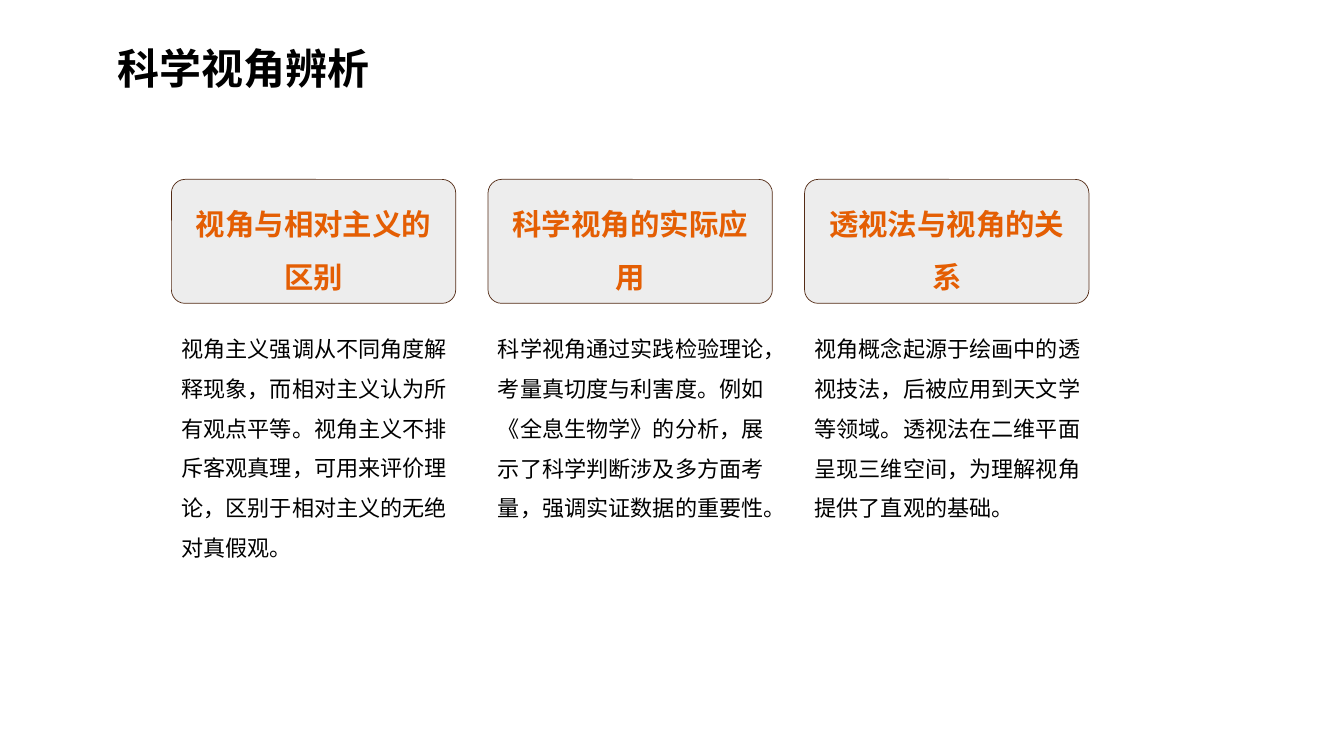
import pptx
import pptx.util
import pptx.dml.color
import pptx.enum.shapes
import pptx.enum.text
import pptx.oxml.ns
import lxml.etree

PX = 9144
FONT = "Noto Sans CJK SC"
BLACK = pptx.dml.color.RGBColor(0x00, 0x00, 0x00)
ORANGE = pptx.dml.color.RGBColor(0xE4, 0x5E, 0x03)
GREY = pptx.dml.color.RGBColor(0xED, 0xED, 0xED)
BROWN = pptx.dml.color.RGBColor(0x54, 0x2C, 0x16)
LEFT, PITCH = 170, 314

TOPICS = [
    ("视角与相对主义的区别",
     "视角主义强调从不同角度解释现象，而相对主义认为所有观点平等。视角主义不排斥客观真理，"
     "可用来评价理论，区别于相对主义的无绝对真假观。", 246),
    ("科学视角的实际应用",
     "科学视角通过实践检验理论，考量真切度与利害度。例如《全息生物学》的分析，"
     "展示了科学判断涉及多方面考量，强调实证数据的重要性。", 207),
    ("透视法与视角的关系",
     "视角概念起源于绘画中的透视技法，后被应用到天文学等领域。"
     "透视法在二维平面呈现三维空间，为理解视角提供了直观的基础。", 207),
]


def px(*lengths):
    return [pptx.util.Emu(n * PX) for n in lengths]


def write(sp, text, size, color, bold=False, align=pptx.enum.text.PP_ALIGN.LEFT):
    tf = sp.text_frame
    tf.word_wrap = True
    tf.auto_size = pptx.enum.text.MSO_AUTO_SIZE.SHAPE_TO_FIT_TEXT
    tf.vertical_anchor = pptx.enum.text.MSO_ANCHOR.MIDDLE
    p = tf.paragraphs[0]
    p.text = text
    p.alignment = align
    p.line_spacing = 1.5
    font = p.font
    font.size = pptx.util.Pt(size)
    font.bold = bold
    font.color.rgb = color
    font.name = FONT
    props = p._p.pPr.find(pptx.oxml.ns.qn("a:defRPr"))
    lxml.etree.SubElement(props, pptx.oxml.ns.qn("a:ea"), typeface=FONT)


def add_title(s, text):
    sp = s.shapes.title
    sp.left, sp.top, sp.width, sp.height = px(107, 12, 1025, 85)
    write(sp, text, 30, BLACK, bold=True)


def add_body(s, left, height, text):
    sp = s.shapes.add_textbox(*px(left, 315, 300, height))
    write(sp, text, 15.8, BLACK)


def add_card(s, left, text):
    kind = pptx.enum.shapes.MSO_SHAPE.ROUNDED_RECTANGLE
    sp = s.shapes.add_shape(kind, *px(left, 178, 282, 123))
    sp.adjustments[0] = 0.11
    sp.shadow.inherit = False
    sp.fill.solid()
    sp.fill.fore_color.rgb = GREY
    sp.line.color.rgb = BROWN
    sp.line.width = pptx.util.Pt(0.5)
    write(sp, text, 21, ORANGE, bold=True, align=pptx.enum.text.PP_ALIGN.CENTER)


def main():
    prs = pptx.Presentation()
    prs.slide_width, prs.slide_height = px(1333, 750)
    s = prs.slides.add_slide(prs.slide_layouts.get_by_name("Title Only"))
    add_title(s, "科学视角辨析")
    for i, (heading, body, height) in enumerate(TOPICS):
        left = LEFT + i * PITCH
        add_body(s, left, height, body)
        add_card(s, left, heading)
    prs.save("out.pptx")


if __name__ == "__main__":
    main()
